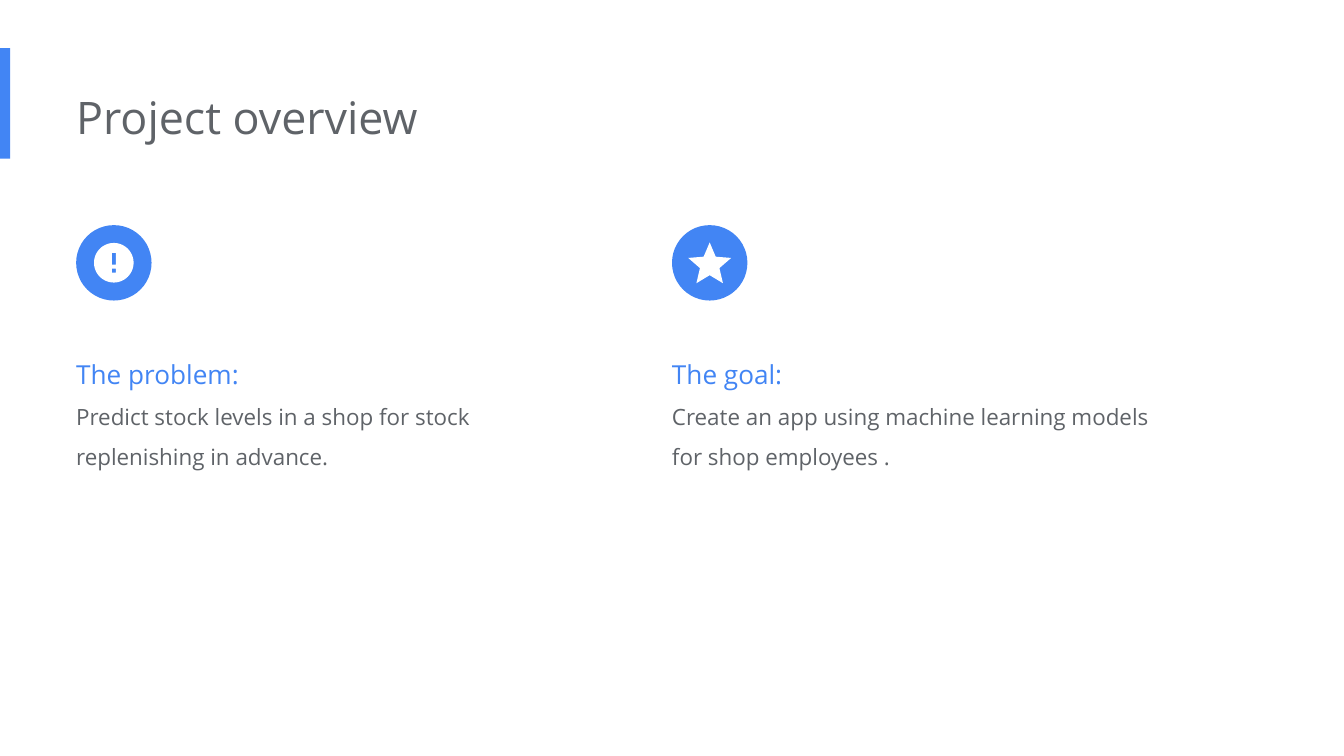
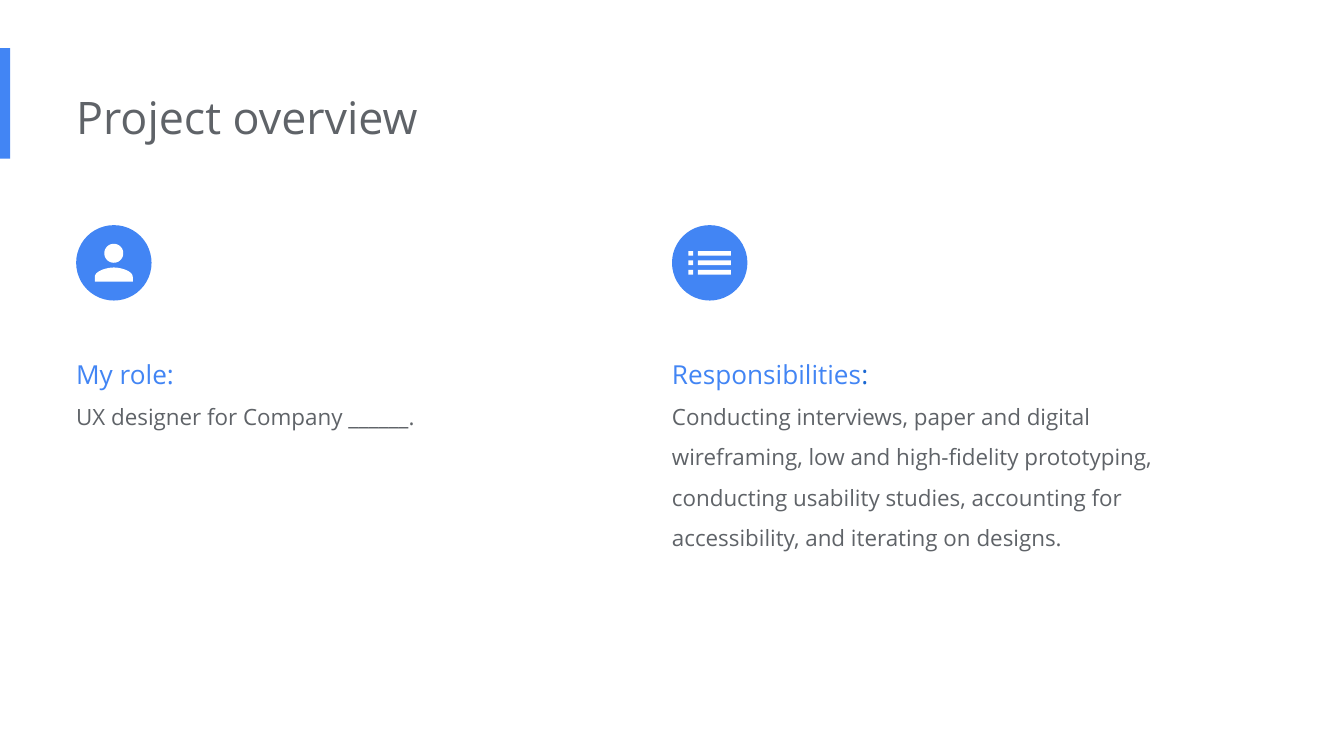
from dataclasses import dataclass
from math import cos, pi, sin

from pptx import Presentation
from pptx.dml.color import RGBColor
from pptx.enum.shapes import MSO_SHAPE
from pptx.enum.text import MSO_ANCHOR, MSO_AUTO_SIZE, PP_ALIGN
from pptx.util import Pt

RECTANGLE, OVAL = MSO_SHAPE.RECTANGLE, MSO_SHAPE.OVAL
TOP, LEFT = MSO_ANCHOR.TOP, PP_ALIGN.LEFT
GROW = MSO_AUTO_SIZE.SHAPE_TO_FIT_TEXT


@dataclass(frozen=True)
class Theme:
    font: str = "Open Sans"
    accent: RGBColor = RGBColor(0x42, 0x85, 0xF4)
    deep: RGBColor = RGBColor(0x19, 0x67, 0xD2)
    body: RGBColor = RGBColor(0x5F, 0x63, 0x68)
    paper: RGBColor = RGBColor(0xFF, 0xFF, 0xFF)
    title_size: int = 24
    heading_size: int = 14
    body_size: int = 12


THEME = Theme()

SLIDES = [
    ("Project overview", [
        ("alert", [("The problem:", THEME.accent)],
         "Predict stock levels in a shop for stock replenishing in advance.", 83.5),
        ("star", [("The goal:", THEME.accent)],
         "Create an app using machine learning models for shop employees .", 83.5),
    ]),
    ("Project overview", [
        ("person", [("My role:", THEME.accent)],
         "UX designer for Company ______.", 62),
        ("list", [("Responsibilities", THEME.accent), (":", THEME.deep)],
         "Conducting interviews, paper and digital wireframing, low and high-fidelity "
         "prototyping, conducting usability studies, accounting for accessibility, and "
         "iterating on designs.", 127.5),
    ]),
]

SLIDE_SIZE = (720, 405)
BAND_BOX = (0, 25.8, 5.4, 59.2)
TITLE_BOX = (40.8, 41, 484.5, 44)
COLUMN_LEFTS = (40.8, 360)
COLUMN_WIDTH = 271.5
BADGE_TOP, BADGE_SIZE = 120.6, 40.4
TEXT_TOP = 176.4
INSET = 7.2


def circle(cx, cy, radius, steps=72):
    angles = [2 * pi * i / steps for i in range(steps)]
    return [(cx + radius * cos(a), cy + radius * sin(a)) for a in angles]


def block(left, top, right, bottom):
    return [(left, top), (left, bottom), (right, bottom), (right, top)]


def curve(p0, p1, p2, p3, steps=16):
    def at(t):
        weights = ((1 - t) ** 3, 3 * t * (1 - t) ** 2, 3 * t * t * (1 - t), t ** 3)
        return tuple(sum(w * p[axis] for w, p in zip(weights, (p0, p1, p2, p3)))
                     for axis in (0, 1))
    return [at(i / steps) for i in range(steps + 1)]


def mirrored(points, axis=12):
    return points + [(2 * axis - x, y) for x, y in reversed(points)]


SHOULDER = curve((12, 14), (14.67, 14), (20, 15.34), (20, 18)) + [(20, 20)]
STAR_HALF = [(12, 2), (14.81, 8.63), (22, 9.24), (16.54, 13.97), (18.18, 21), (12, 17.27)]

ICONS = {
    "alert": (21.2, [circle(12, 12, 10), block(11, 7, 13, 13), block(11, 15, 13, 17)]),
    "star": (23, [mirrored(STAR_HALF)]),
    "person": (20.3, [circle(12, 8, 4), mirrored(SHOULDER)]),
    "list": (22.8, [block(left, top, right, top + 2)
                    for top in (7, 11, 15) for left, right in ((3, 5), (7, 21))]),
}


def paint(shape, color):
    shape.fill.solid()
    shape.fill.fore_color.rgb = color
    shape.line.fill.background()
    shape.shadow.inherit = False


def add_filled(slide, kind, box, color):
    shape = slide.shapes.add_shape(kind, *map(Pt, box))
    paint(shape, color)
    return shape


def set_frame(frame):
    frame.margin_left = 0
    frame.margin_top = frame.margin_right = frame.margin_bottom = Pt(INSET)
    frame.vertical_anchor = TOP
    frame.word_wrap = True
    frame.auto_size = GROW


def style(run, size, color):
    run.font.name = THEME.font
    run.font.size = Pt(size)
    run.font.color.rgb = color


def add_band(layout, slide):
    band = add_filled(slide, RECTANGLE, BAND_BOX, THEME.accent)
    band.element.xpath("./p:nvSpPr/p:cNvPr")[0].set("id", "99")
    layout.shapes.element.insert(2, band.element)


def add_title(slide, text):
    title = slide.shapes.title
    title.left, title.top, title.width, title.height = map(Pt, TITLE_BOX)
    set_frame(title.text_frame)
    title.text_frame.text = text
    paragraph = title.text_frame.paragraphs[0]
    paragraph.alignment = LEFT
    style(paragraph.runs[0], THEME.title_size, THEME.body)


def add_icon(slide, icon, center_x, center_y):
    width, contours = ICONS[icon]
    xs, ys = zip(*(point for contour in contours for point in contour))
    scale = width / (max(xs) - min(xs))
    middle_x, middle_y = (min(xs) + max(xs)) / 2, (min(ys) + max(ys)) / 2
    placed = [[(Pt(center_x + (x - middle_x) * scale), Pt(center_y + (y - middle_y) * scale))
               for x, y in contour] for contour in contours]
    builder = slide.shapes.build_freeform(*placed[0][0])
    for index, contour in enumerate(placed):
        if index:
            builder.move_to(*contour[0])
        builder.add_line_segments(contour[1:], close=True)
    paint(builder.convert_to_shape(), THEME.paper)


def add_column(slide, left, icon, heading, detail, height):
    add_filled(slide, OVAL, (left, BADGE_TOP, BADGE_SIZE, BADGE_SIZE), THEME.accent)
    add_icon(slide, icon, left + BADGE_SIZE / 2, BADGE_TOP + BADGE_SIZE / 2)
    box = slide.shapes.add_textbox(*map(Pt, (left, TEXT_TOP, COLUMN_WIDTH, height)))
    frame = box.text_frame
    set_frame(frame)
    heading_line, detail_line = frame.paragraphs[0], frame.add_paragraph()
    for text, color in heading:
        run = heading_line.add_run()
        run.text = text
        style(run, THEME.heading_size, color)
    detail_line.text = detail
    style(detail_line.runs[0], THEME.body_size, THEME.body)
    for paragraph in frame.paragraphs:
        paragraph.line_spacing = 1.5


def main():
    deck = Presentation()
    deck.slide_width, deck.slide_height = map(Pt, SLIDE_SIZE)
    layout = deck.slide_layouts[5]
    for index, (title, columns) in enumerate(SLIDES):
        slide = deck.slides.add_slide(layout)
        if index == 0:
            add_band(layout, slide)
        add_title(slide, title)
        for left, column in zip(COLUMN_LEFTS, columns):
            add_column(slide, left, *column)
    deck.save("out.pptx")


if __name__ == "__main__":
    main()
